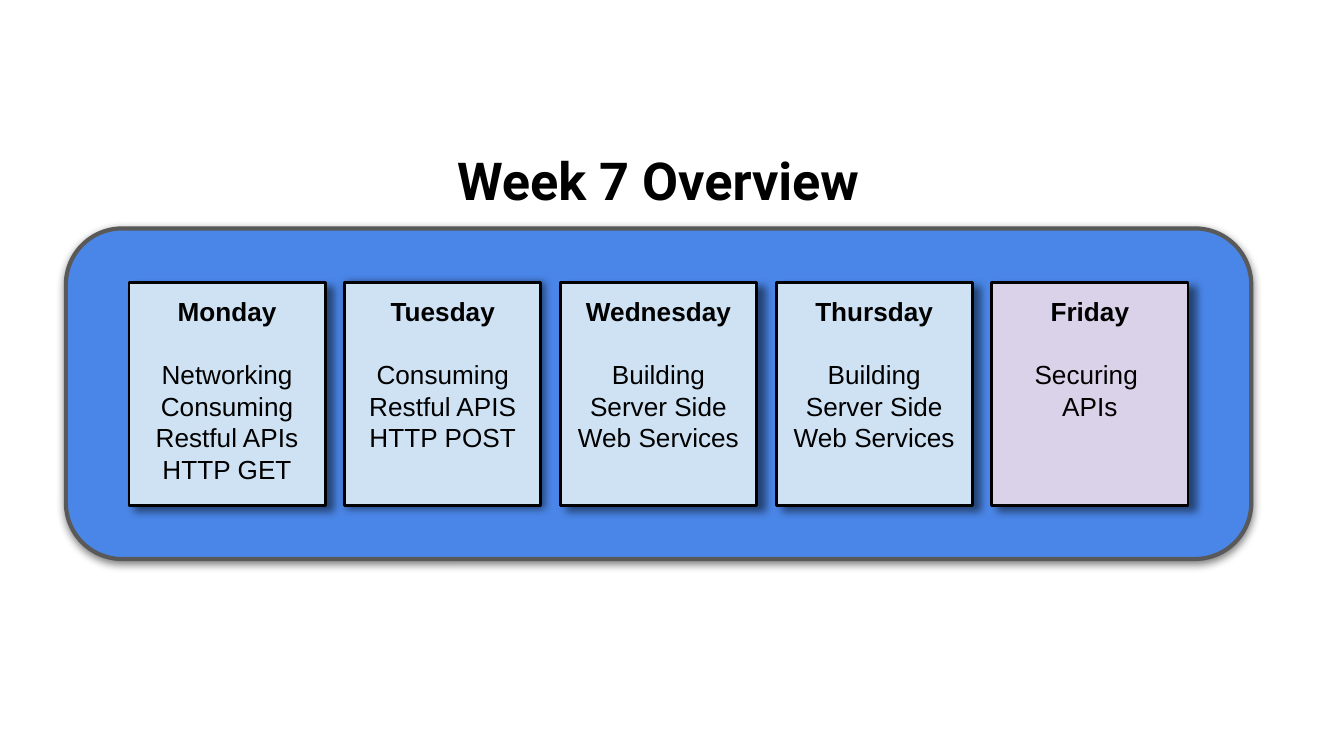
from pptx import Presentation
from pptx.dml.color import RGBColor
from pptx.enum.shapes import MSO_SHAPE as SHAPE
from pptx.enum.text import MSO_ANCHOR as ANCHOR, MSO_AUTO_SIZE as AUTO, PP_ALIGN as ALIGN
from pptx.oxml import parse_xml
from pptx.oxml.ns import nsdecls
from pptx.util import Inches, Pt

BLACK = RGBColor(0x00, 0x00, 0x00)
GRAY = RGBColor(0x59, 0x59, 0x59)
BLUE = RGBColor(0x4A, 0x86, 0xE8)
PALE_BLUE = RGBColor(0xCF, 0xE2, 0xF3)
LILAC = RGBColor(0xD9, 0xD2, 0xE9)

TITLE_FONT = {"name": "Roboto", "size": Pt(28), "bold": True}
DAY_FONT = {"name": "Arial", "size": Pt(14), "bold": True}
TOPIC_FONT = {**DAY_FONT, "bold": False}
INSETS = {f"margin_{side}": Inches(0.1) for side in ("left", "top", "right", "bottom")}

LOW = {"dist": 1.5, "angle": 36}
DEEP = {"dist": 4.5, "angle": 36, "alpha": 49}
DAYS = [
    ("Monday", "Networking\nConsuming Restful APIs\nHTTP GET", PALE_BLUE, DEEP),
    ("Tuesday", "Consuming Restful APIS\nHTTP POST", PALE_BLUE, LOW),
    ("Wednesday", "Building Server Side\nWeb Services", PALE_BLUE, DEEP),
    ("Thursday", "Building Server Side Web Services", PALE_BLUE, DEEP),
    ("Friday", "Securing \nAPIs", LILAC, DEEP),
]


def set_attrs(obj, values):
    for name, value in values.items():
        setattr(obj, name, value)


def write(p, text, font):
    p.text = text
    p.alignment = ALIGN.CENTER
    set_attrs(p.font, font)
    p.font.color.rgb = BLACK


def add_shadow(sp, dist, angle, alpha=50, blur=4.5):
    sp.shadow.inherit = False
    sp._element.spPr.remove(sp._element.spPr.find("{*}effectLst"))
    sp._element.spPr.append(parse_xml(
        f'<a:effectLst {nsdecls("a")}>'
        f'<a:outerShdw blurRad="{Pt(blur)}" dist="{Pt(dist)}" dir="{angle * 60000}" '
        f'algn="bl" rotWithShape="0"><a:srgbClr val="{BLACK}">'
        f'<a:alpha val="{alpha * 1000}"/></a:srgbClr></a:outerShdw></a:effectLst>'))


def add_box(slide, kind, box, fill, line, width, shadow):
    sp = slide.shapes.add_shape(kind, *(Inches(v) for v in box))
    sp.fill.solid()
    sp.fill.fore_color.rgb = fill
    sp.line.color.rgb = line
    sp.line.width = Pt(width)
    add_shadow(sp, **shadow)
    return sp


def add_title(slide, box, text):
    sp = slide.shapes.title
    set_attrs(sp, dict(zip(("left", "top", "width", "height"), map(Inches, box))))
    tf = sp.text_frame
    set_attrs(tf, {**INSETS, "word_wrap": True, "auto_size": AUTO.NONE,
                   "vertical_anchor": ANCHOR.TOP})
    write(tf.paragraphs[0], text, TITLE_FONT)


def add_day(slide, box, day, topics, fill, shadow):
    sp = add_box(slide, SHAPE.RECTANGLE, box, fill, BLACK, 1.5, shadow)
    tf = sp.text_frame
    set_attrs(tf, {**INSETS, "word_wrap": True, "vertical_anchor": ANCHOR.TOP})
    write(tf.paragraphs[0], day, DAY_FONT)
    p = tf.add_paragraph()
    write(p, topics, TOPIC_FONT)
    p.space_before = Pt(17)


def add_week(slide, box, days):
    left, top, width, height = box
    panel = add_box(slide, SHAPE.ROUNDED_RECTANGLE, box, BLUE, GRAY, 2.25,
                    {"dist": 1.5, "angle": 90})
    panel.adjustments[0] = 0.17
    pad_x, pad_y, card_w = 0.47, 0.4, 1.46
    step = (width - 2 * pad_x - card_w) / (len(days) - 1)
    for i, day in enumerate(days):
        card = (left + pad_x + i * step, top + pad_y, card_w, height - 2 * pad_y)
        add_day(slide, card, *day)


def main():
    prs = Presentation()
    prs.slide_width = Inches(10)
    prs.slide_height = prs.slide_width * 9 // 16
    slide = prs.slides.add_slide(prs.slide_layouts[5])
    add_title(slide, (0.95, 1, 7.89, 0.67), "Week 7 Overview")
    add_week(slide, (0.49, 1.7, 8.82, 2.46), DAYS)
    prs.save("out.pptx")


if __name__ == "__main__":
    main()
